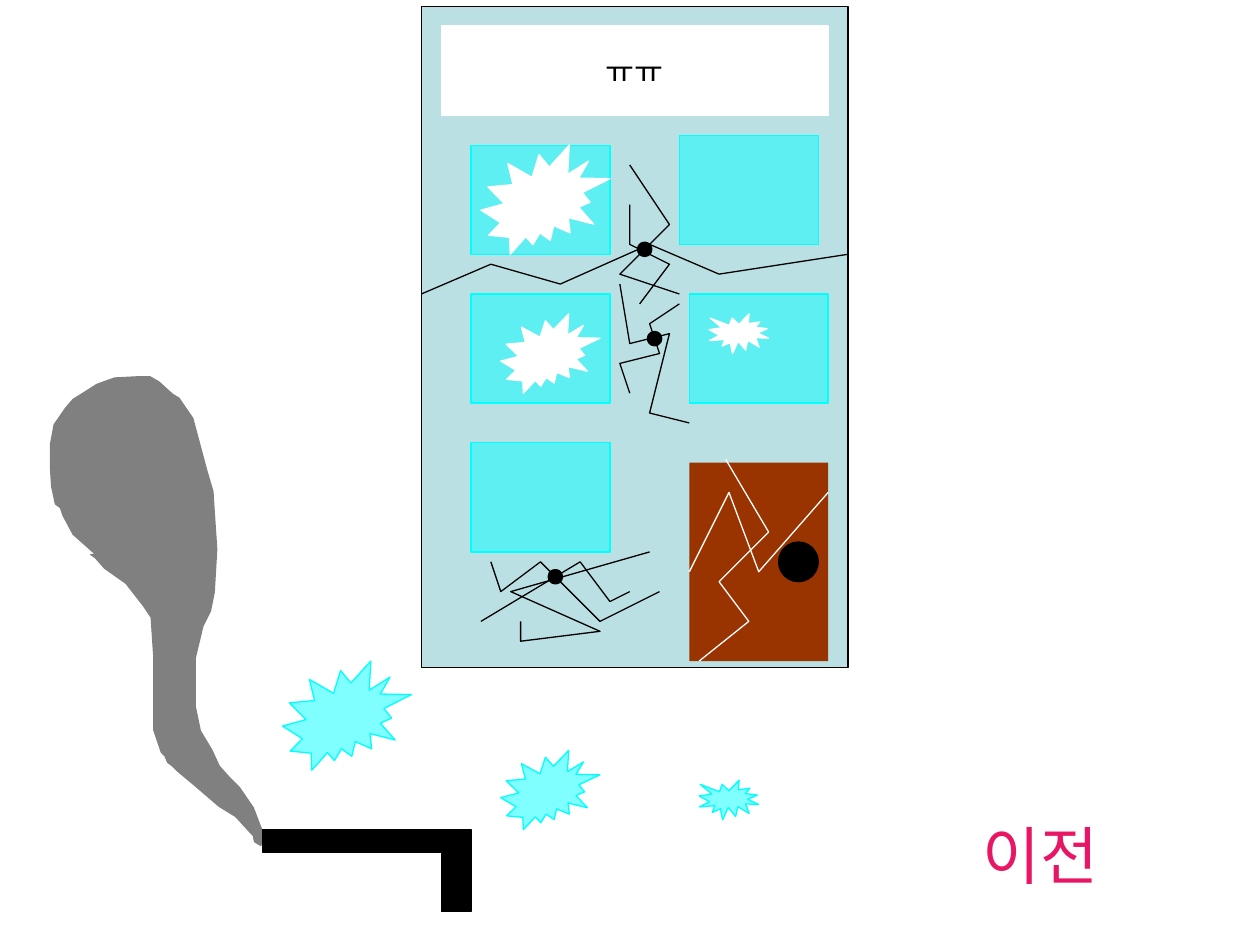
"""Build a slide of a damaged building, a pistol and its smoke."""
from lxml.etree import SubElement
from pptx import Presentation
from pptx.dml.color import RGBColor
from pptx.enum.shapes import MSO_SHAPE
from pptx.enum.text import MSO_ANCHOR, PP_ALIGN
from pptx.oxml.ns import qn
from pptx.util import Inches, Mm, Pt

BLACK = RGBColor(0x00, 0x00, 0x00)
WHITE = RGBColor(0xFF, 0xFF, 0xFF)
CYAN = RGBColor(0x00, 0xFF, 0xFF)
WALL = RGBColor(0xBB, 0xE0, 0xE3)
BROWN = RGBColor(0x99, 0x33, 0x00)
GRAY = RGBColor(0x80, 0x80, 0x80)
PINK = RGBColor(0xE8, 0x17, 0x66)
FONT = "Noto Sans CJK KR"
CELL = Mm(2)
LEFT, TOP = Inches(3.345), Inches(0.05)
HUNDREDTH = Inches(0.01)

presentation = Presentation()
presentation.slide_width, presentation.slide_height = Inches(10), Inches(7.5)
slide = presentation.slides.add_slide(presentation.slide_layouts[6])


def paint(shape, fill, line, width=0.75, alpha=None):
    shape.shadow.inherit = False
    if fill is None:
        shape.fill.background()
    else:
        shape.fill.solid()
        shape.fill.fore_color.rgb = fill
    if alpha:
        color = shape.fill._xPr.find(qn("a:solidFill"))[0]
        SubElement(color, qn("a:alpha"), val=str(alpha * 1000))
    if line is None:
        shape.line.fill.background()
    else:
        shape.line.color.rgb = line
        shape.line.width = Pt(width)


def write(shape, text, size, color, anchor):
    frame = shape.text_frame
    paragraph = frame.paragraphs[0]
    run = paragraph.add_run()
    run.text = text
    formats = [
        (frame, {"word_wrap": False, "vertical_anchor": anchor,
                 "margin_left": 0, "margin_right": 0}),
        (paragraph, {"alignment": PP_ALIGN.CENTER}),
        (run.font, {"size": Pt(size), "name": FONT}),
    ]
    for target, values in formats:
        for name, value in values.items():
            setattr(target, name, value)
    run.font.color.rgb = color
    SubElement(run.font._element, qn("a:ea"), typeface=FONT)


RECT, OVAL = MSO_SHAPE.RECTANGLE, MSO_SHAPE.OVAL
SMALL_BURST, BIG_BURST = MSO_SHAPE.EXPLOSION1, MSO_SHAPE.EXPLOSION2
SOLID_WHITE = {"fill": WHITE, "line": WHITE}
GLASS = {"fill": CYAN, "line": CYAN, "alpha": 50}
JOINT = {"fill": BLACK, "line": BLACK, "width": 3.25}

windows = [(5, 14), (27, 29), (5, 29), (26, 13), (5, 44)]
joints = [(23, 33), (13, 57), (22, 24)]
parts = [
    (RECT, 0, 0, 43, 66.67, {"fill": WALL, "line": BLACK}),
    (RECT, 2, 2, 39, 9, SOLID_WHITE),
    *[(RECT, column, row, 14, 11, GLASS) for column, row in windows],
    (RECT, 27, 46, 14, 20, {"fill": BROWN, "line": None}),
    (OVAL, 36, 54, 4, 4, {"fill": BLACK, "line": BLACK}),
    (BIG_BURST, 8, 31, 10, 8, SOLID_WHITE),
    (SMALL_BURST, 29, 31, 6, 4, SOLID_WHITE),
    (BIG_BURST, 8, 75, 10, 8, GLASS),
    (SMALL_BURST, 28, 78, 6, 4, GLASS),
    (BIG_BURST, 6, 14, 13, 11, SOLID_WHITE),
    (BIG_BURST, -14, 66, 13, 11, GLASS),
    *[(OVAL, column, row, 1, 1, JOINT) for column, row in joints],
]
for kind, column, row, columns, rows, style in parts:
    shape = slide.shapes.add_shape(
        kind, int(LEFT + column * CELL), int(TOP + row * CELL),
        int(columns * CELL), int(rows * CELL))
    paint(shape, **style)
    if (column, row) == (2, 2):
        write(shape, "ㅠㅠ", 18, BLACK, MSO_ANCHOR.MIDDLE)

limbs = [
    [(21, 39), (20, 36), (24, 35), (23, 32), (26, 30)],
    [(20, 28), (21, 34), (25, 33), (23, 41), (27, 42)],
    [(23, 55), (9, 59), (18, 63), (10, 64), (10, 62)],
    [(7, 56), (8, 59), (12, 56), (18, 62), (24, 59)],
    [(6, 62), (16, 56), (19, 60), (21, 59)],
    [(0, 29), (7, 26), (14, 28), (23, 24), (30, 27), (43, 25)],
    [(21, 16), (25, 22), (20, 27), (26, 29)],
    [(21, 20), (21, 24), (25, 26), (22, 30)],
]
cracks = [
    [(30.67, 45.67), (35, 53), (30, 58), (33, 62), (28, 66)],
    [(27, 57), (31, 49), (34, 57), (41, 49)],
]
pistol = [(-16, 83), (5, 83), (5, 91.25), (2, 91.25), (2, 85.25), (-16, 85.25)]
smoke = [
    (76, 440), (67, 432), (58, 424), (50, 409), (48, 403), (44, 400),
    (41, 386), (40, 370), (40, 353), (43, 337), (52, 324), (58, 317),
    (66, 312), (77, 305), (91, 300), (110, 299), (119, 299), (126, 303),
    (137, 313), (142, 316), (153, 332), (164, 373), (169, 390), (170, 406),
    (172, 436), (170, 470), (167, 485), (161, 497), (155, 522), (155, 561),
    (159, 580), (168, 595), (174, 608), (182, 617), (190, 625), (201, 641),
    (209, 662), (207, 671), (202, 668), (201, 663), (198, 660), (187, 648),
    (174, 640), (153, 622), (141, 612), (137, 608), (133, 605), (131, 600),
    (128, 597), (122, 579), (122, 520), (120, 490), (114, 481), (100, 463),
    (83, 451), (76, 443), (72, 440),
]
outlines = [
    (smoke, 0, 0, HUNDREDTH, GRAY, GRAY),
    (pistol, LEFT, TOP, CELL, BLACK, BLACK),
    *[(crack, LEFT, TOP, CELL, None, WHITE) for crack in cracks],
    *[(limb, LEFT, TOP, CELL, None, BLACK) for limb in limbs],
]
for points, left, top, unit, fill, line in outlines:
    start, *rest = [(int(left + x * unit), int(top + y * unit)) for x, y in points]
    builder = slide.shapes.build_freeform(*start, scale=1.0)
    builder.add_line_segments(rest, close=fill is not None)
    paint(builder.convert_to_shape(), fill, line)

label = slide.shapes.add_textbox(Inches(7.76), Inches(6.43), Inches(1), Inches(0.5))
write(label, "이전", 36, PINK, MSO_ANCHOR.TOP)

presentation.save("out.pptx")
